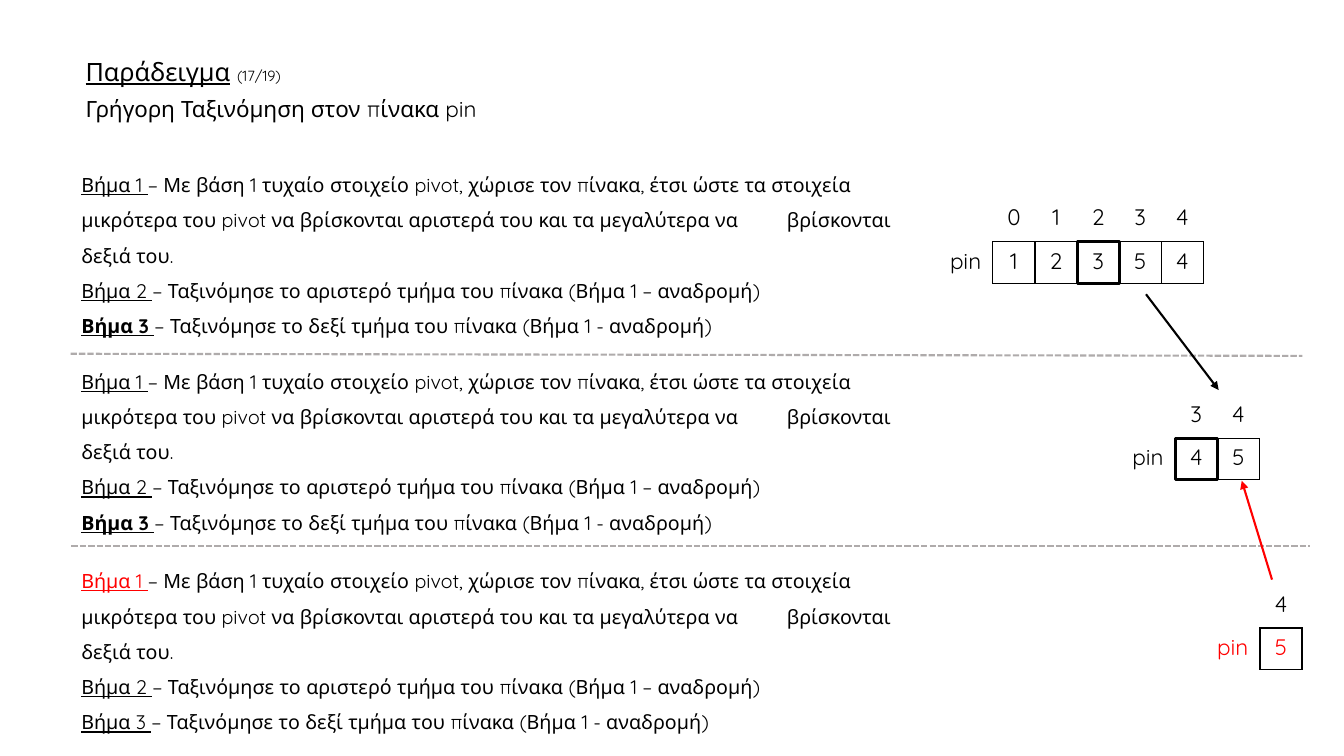
from dataclasses import dataclass

from lxml import etree
from pptx import Presentation
from pptx import util as u
from pptx.dml import color
from pptx.enum import dml, shapes, text
from pptx.oxml import ns

Pt = u.Pt


@dataclass(frozen=True)
class Theme:
    font: str = "Quicksand"
    ink: str = "000000"
    red: str = "FF0000"
    gray: str = "AFABAB"
    head: float = 18
    sub: float = 16
    note: float = 10.5
    body: float = 14
    cell: float = 16
    thin: float = 1
    rule: float = 1.5
    thick: float = 2.25


T = Theme()
SPLIT = ("− Με βάση 1 τυχαίο στοιχείο pivot, χώρισε τον πίνακα, έτσι ώστε τα στοιχεία "
         "\tμικρότερα του pivot να βρίσκονται αριστερά του και τα μεγαλύτερα να "
         "\tβρίσκονται δεξιά του.")
LEFT = "− Ταξινόμησε το αριστερό τμήμα του πίνακα (Βήμα 1 – αναδρομή)"
RIGHT = "− Ταξινόμησε το δεξί τμήμα του πίνακα (Βήμα 1 - αναδρομή)"
LABEL, SIDE, TOP, LOW = 38.9, 30.1, 31, 29.5  # array column widths and row heights


def style(item, form):
    for name, value in form.items():
        setattr(item, name, value)


def add_run(para, words, size, tint=T.ink, **form):
    run = para.add_run()
    run.text = words
    style(run.font, dict(name=T.font, size=Pt(size), **form))
    run.font.color.rgb = color.RGBColor.from_string(tint)


def add_box(slide, box, **form):
    frame = slide.shapes.add_textbox(*map(Pt, box)).text_frame
    style(frame, dict(word_wrap=True, **form))
    return frame


# Heading with the page count and subtitle
def add_title(slide, box):
    frame = add_box(slide, box, vertical_anchor=text.MSO_ANCHOR.MIDDLE)
    first, second = frame.paragraphs[0], frame.add_paragraph()
    add_run(first, "Παράδειγμα", T.head, underline=True)
    add_run(first, " ", T.head)
    add_run(first, "(17/19)", T.note)
    add_run(second, "Γρήγορη Ταξινόμηση στον πίνακα pin", T.sub)
    first.line_spacing = 0.9
    style(second, dict(line_spacing=0.9, space_before=Pt(8)))


# Three steps; one may be bold or red
def add_steps(slide, box, bold=None, red=None):
    frame = add_box(slide, box, auto_size=text.MSO_AUTO_SIZE.SHAPE_TO_FIT_TEXT)
    for step, words in enumerate((SPLIT, LEFT, RIGHT), 1):
        para = frame.paragraphs[0] if step == 1 else frame.add_paragraph()
        para.line_spacing = 1.5
        add_run(para, f"Βήμα {step} ", T.body, T.red if step == red else T.ink,
                underline=True, bold=step == bold)
        add_run(para, words, T.body)


def set_edges(cell, drawn):
    props = cell._tc.get_or_add_tcPr()
    for side in "LRTB":
        line = etree.SubElement(props, ns.qn(f"a:ln{side}"), w=str(Pt(T.thin)))
        if side in drawn:
            fill = etree.SubElement(line, ns.qn("a:solidFill"))
            etree.SubElement(fill, ns.qn("a:srgbClr"), val=T.ink)
        else:
            etree.SubElement(line, ns.qn("a:noFill"))
    cell.fill.background()


# Array: indices above, label and values below, optional pivot frame
def add_array(slide, left, top, start, values, pivot=None, tint=T.ink):
    count = len(values)
    table = slide.shapes.add_table(2, count + 1, Pt(left), Pt(top),
                                   Pt(LABEL + SIDE * count), Pt(TOP + LOW)).table
    style(table, dict(first_row=False, horz_banding=False))
    for row, high in zip(table.rows, (TOP, LOW)):
        row.height = Pt(high)
    for col, column in enumerate(table.columns):
        column.width = Pt(SIDE if col else LABEL)
    grid = [["", *range(start, start + count)], ["pin", *values]]
    for row, line in enumerate(grid):
        for col, value in enumerate(line):
            cell = table.cell(row, col)
            if col:
                set_edges(cell, "LRTB" if row else "B")
            else:
                set_edges(cell, "R" if row else "")
            para = cell.text_frame.paragraphs[0]
            para.alignment = text.PP_ALIGN.CENTER
            if value != "":
                add_run(para, str(value), T.cell, tint if row else T.ink)
    if pivot is not None:
        mark = slide.shapes.add_shape(
            shapes.MSO_SHAPE.RECTANGLE, Pt(left + LABEL + SIDE * pivot),
            Pt(top + TOP), Pt(SIDE), Pt(LOW))
        mark.shadow.inherit = False
        mark.fill.background()
        mark.line.color.rgb = color.RGBColor.from_string(T.ink)
        mark.line.width = Pt(T.thick)


def add_line(slide, ends, tint, dash=None, arrow=False):
    line = slide.shapes.add_connector(shapes.MSO_CONNECTOR.STRAIGHT, *map(Pt, ends))
    line.line.color.rgb = color.RGBColor.from_string(tint)
    style(line.line, dict(width=Pt(T.rule), dash_style=dash))
    if arrow:
        etree.SubElement(line.line._get_or_add_ln(), ns.qn("a:tailEnd"), type="triangle")
    etree.SubElement(line._element.spPr, ns.qn("a:effectLst"))


def main():
    deck = Presentation()
    style(deck, dict(slide_width=Pt(960), slide_height=Pt(540)))
    slide = deck.slides.add_slide(deck.slide_layouts[6])
    add_title(slide, (54, 37.4, 777, 55.4))

    # Recursion levels
    for top, form in ((111.6, dict(bold=3)), (252, dict(bold=3)), (394.6, dict(red=1))):
        add_steps(slide, (51, top, 598.3, 131), **form)
    add_array(slide, 670.3, 141.8, 0, [1, 2, 3, 5, 4], pivot=2)
    add_array(slide, 800.6, 282.2, 3, [4, 5], pivot=0)
    add_array(slide, 861.1, 417.6, 4, [5], tint=T.red)

    # Dividers and call arrows
    for ends in ((50.4, 252.7, 930.2, 254.2), (51, 390.2, 936, 390.2)):
        add_line(slide, ends, T.gray, dash=dml.MSO_LINE.SQUARE_DOT)
    add_line(slide, (818.6, 210.2, 870.5, 278.6), T.ink, arrow=True)
    add_line(slide, (908.6, 414, 887, 343.4), T.red, arrow=True)
    deck.save("out.pptx")


if __name__ == "__main__":
    main()
